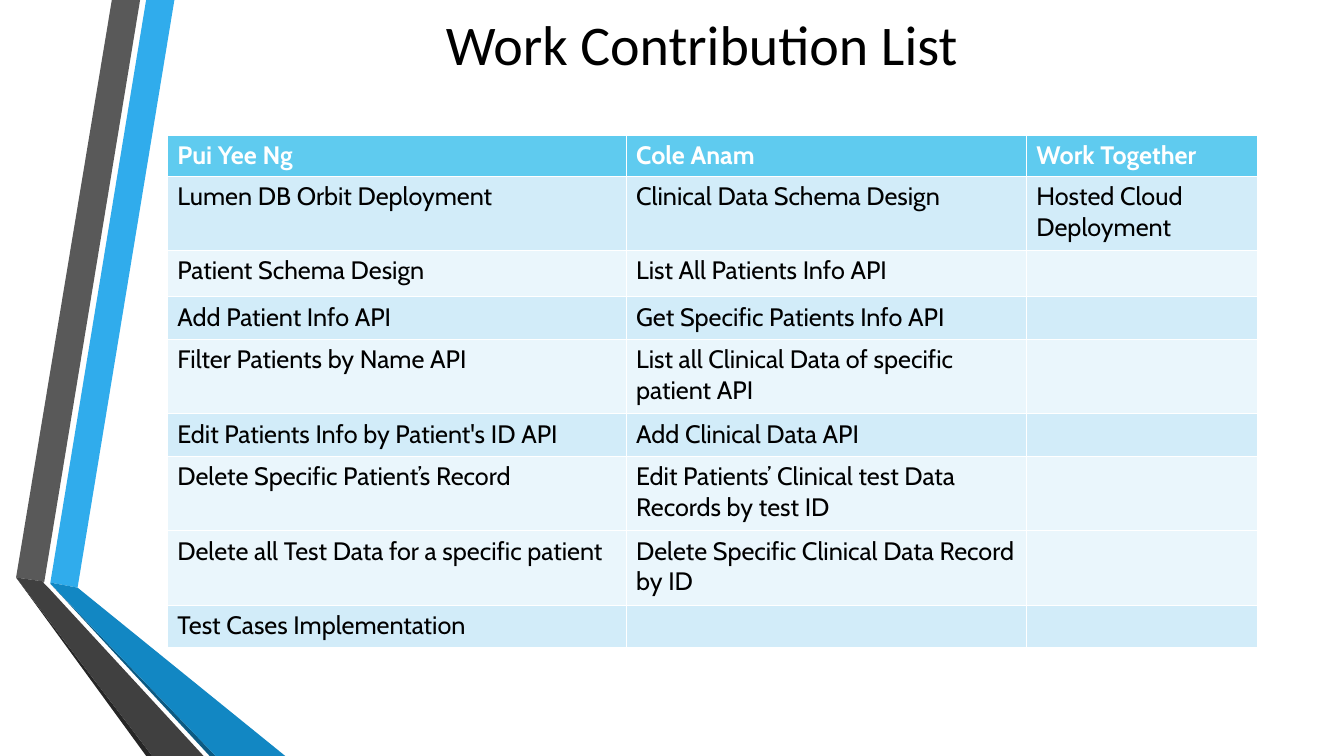
from pptx import Presentation
from pptx.dml.color import RGBColor
from pptx.enum.text import MSO_ANCHOR, PP_ALIGN
from pptx.oxml import parse_xml
from pptx.oxml.ns import nsdecls
from pptx.util import Pt

CENTER, MIDDLE = PP_ALIGN.CENTER, MSO_ANCHOR.MIDDLE
PX = 9144  # 100 px to the inch

# Content
TITLE = "Work Contribution List"
ROWS = [
    ("Pui Yee Ng", "Cole Anam", "Work Together"),
    ("Lumen DB Orbit Deployment", "Clinical Data Schema Design", "Hosted Cloud Deployment"),
    ("Patient Schema Design", "List All Patients Info API", ""),
    ("Add Patient Info API", "Get Specific Patients Info API", ""),
    ("Filter Patients by Name API", "List all Clinical Data of specific patient API", ""),
    ("Edit Patients Info by Patient's ID API", "Add Clinical Data API", ""),
    ("Delete Specific Patient’s Record", "Edit Patients’ Clinical test Data Records by test ID", ""),
    ("Delete all Test Data for a specific patient", "Delete Specific Clinical Data Record by ID", ""),
    ("Test Cases Implementation", "", ""),
]
WIDTHS = [455, 397, 229]
HEIGHTS = [40, 74, 46, 42, 74, 42, 74, 74, 42]
HEAD, DARK, LIGHT = "5FCBEF", "D2ECF9", "EAF6FC"
FILLS = [HEAD, DARK, LIGHT, DARK, LIGHT, DARK, LIGHT, LIGHT, DARK]
RIBBONS = [
    ("30ACEC", [(50, 578), (77, 583), (173, 0), (145, 0)]),
    ("595959", [(139, 0), (111, 0), (16, 573), (44, 577)]),
    ("262626", [(16, 573), (145, 750), (151, 750)]),
    ("0C5A82", [(50, 579), (208, 750), (214, 750)]),
    ("1287C3", [(50, 578), (50, 579), (214, 750), (283, 750), (77, 583)]),
    ("404040", [(202, 750), (48, 583), (43, 578), (44, 577), (16, 573), (151, 750)]),
]
TITLE_FONT = {"name": "Calibri", "size": Pt(40), "bold": False}
HEAD_FONT = {"name": "Cabin", "size": Pt(18), "bold": True}
BODY_FONT = {**HEAD_FONT, "bold": False}


def rgb(code):
    return RGBColor.from_string(code)


def style(font, form, color):
    for key, value in form.items():
        setattr(font, key, value)
    font.color.rgb = rgb(color)


def place(shape, *box):
    for key, value in zip(("left", "top", "width", "height"), box):
        setattr(shape, key, value * PX)


def border(cell):
    props = cell._tc.get_or_add_tcPr()
    for spot, side in enumerate("LRTB"):
        props.insert(spot, parse_xml(
            f'<a:ln{side} {nsdecls("a")} w="9525"><a:solidFill>'
            f'<a:srgbClr val="FFFFFF"/></a:solidFill></a:ln{side}>'))


def draw_ribbons(slide):
    for color, points in RIBBONS:
        form = slide.shapes.build_freeform(*points[0], scale=PX)
        form.add_line_segments(points[1:], close=True)
        shape = form.convert_to_shape()
        shape.shadow.inherit = False
        shape.fill.solid()
        shape.fill.fore_color.rgb = rgb(color)
        shape.line.fill.background()


def draw_title(slide):
    title = slide.shapes.title
    place(title, 149, 0, 1094, 85)
    frame = title.text_frame
    frame.text = TITLE
    frame.vertical_anchor = MIDDLE
    line = frame.paragraphs[0]
    line.alignment = CENTER
    style(line.runs[0].font, TITLE_FONT, "000000")


def draw_table(slide):
    box = [n * PX for n in (166, 134, sum(WIDTHS), sum(HEIGHTS))]
    table = slide.shapes.add_table(len(ROWS), len(WIDTHS), *box).table
    table.horz_banding = False
    for col, width in zip(table.columns, WIDTHS):
        col.width = width * PX
    for r, (texts, height, fill) in enumerate(zip(ROWS, HEIGHTS, FILLS)):
        table.rows[r].height = height * PX
        form, color = (BODY_FONT, "000000") if r else (HEAD_FONT, "FFFFFF")
        for c, text in enumerate(texts):
            cell = table.cell(r, c)
            cell.fill.solid()
            cell.fill.fore_color.rgb = rgb(fill)
            border(cell)
            if text:
                cell.text = text
                style(cell.text_frame.paragraphs[0].runs[0].font, form, color)


def main():
    deck = Presentation()
    deck.slide_width, deck.slide_height = 1333 * PX, 750 * PX
    slide = deck.slides.add_slide(deck.slide_layouts[5])
    draw_ribbons(slide)
    draw_title(slide)
    draw_table(slide)
    deck.save("out.pptx")


if __name__ == "__main__":
    main()
